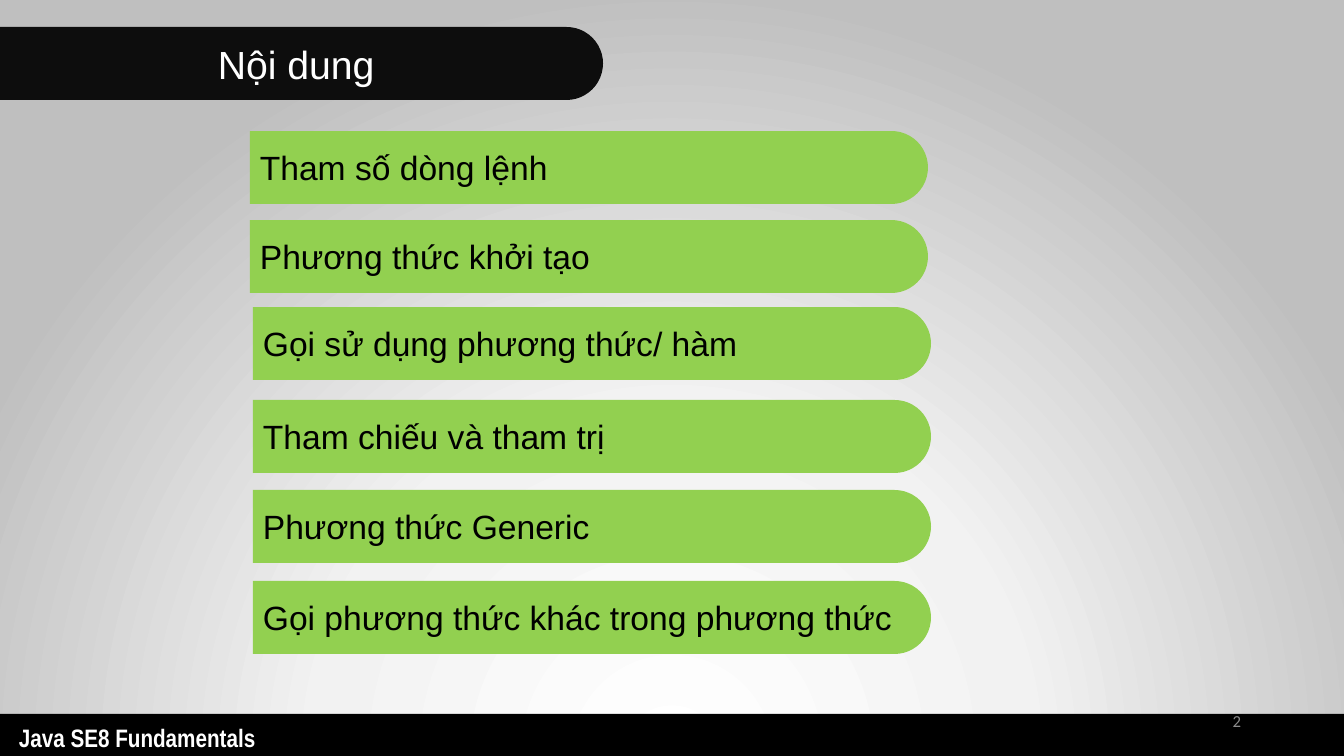
from pptx import Presentation
from pptx.dml.color import RGBColor
from pptx.enum.shapes import MSO_SHAPE as Shape
from pptx.enum.text import MSO_ANCHOR as Anchor, PP_ALIGN as Align
from pptx.oxml import parse_xml
from pptx.oxml.ns import nsdecls, qn
from pptx.util import Pt

PX = 914400 / 100.8
COLORS = {
    "black": "000000",
    "title": "0D0D0D",
    "topic": "92D050",
    "white": "FFFFFF",
    "number": "8C8C8C",
}
GLOW = [(0, "FFFFFF"), (46, "F2F2F2"), (100, "BFBFBF")]
BAR_HEIGHT = 73
TOPIC_WIDTH = 678
TOPICS = [
    (250, 131, "Tham số dòng lệnh"),
    (250, 220, "Phương thức khởi tạo"),
    (253, 307, "Gọi sử dụng phương thức/ hàm"),
    (253, 400, "Tham chiếu và tham trị"),
    (253, 490, "Phương thức Generic"),
    (253, 581, "Gọi phương thức khác trong phương thức"),
]


def px(*lengths):
    return [round(length * PX) for length in lengths]


def rgb(name):
    return RGBColor.from_string(COLORS[name])


def write(frame, words, size, font, color, align=Align.LEFT, bold=False):
    line = frame.paragraphs[0]
    line.alignment = align
    run = line.add_run()
    run.text = words
    run.font.size = Pt(size)
    run.font.name = font
    run.font.bold = bold
    run.font.color.rgb = rgb(color)


def add_block(slide, kind, box, color):
    block = slide.shapes.add_shape(kind, *px(*box))
    block.shadow.inherit = False
    block.fill.solid()
    block.fill.fore_color.rgb = rgb(color)
    block.line.fill.background()
    return block


def add_label(slide, box, anchor, *style, **options):
    label = slide.shapes.add_textbox(*px(*box)).text_frame
    label.word_wrap = True
    label.vertical_anchor = anchor
    write(label, *style, **options)


def add_bar(slide, left, top, width, color, *style, **options):
    """Bar rounded on its right end: an upright tab turned by 90 degrees."""
    shift = (width - BAR_HEIGHT) / 2
    box = (left + shift, top - shift, BAR_HEIGHT, width)
    bar = add_block(slide, Shape.ROUND_2_SAME_RECTANGLE, box, color)
    bar.rotation = 90
    bar.adjustments[0] = 0.5
    bar.adjustments[1] = 0
    frame = bar.text_frame
    frame.word_wrap = True
    frame.vertical_anchor = Anchor.MIDDLE
    # Turn the text back to horizontal
    frame._txBody.find(qn("a:bodyPr")).set("vert", "vert270")
    write(frame, *style, **options)


def set_background(slide):
    slide.background.fill.gradient()
    plain = next(slide.element.iter(qn("a:gradFill")))
    stops = "".join(
        f'<a:gs pos="{percent * 1000}"><a:srgbClr val="{color}"/></a:gs>'
        for percent, color in GLOW
    )
    radial = parse_xml(
        f'<a:gradFill {nsdecls("a")} rotWithShape="1"><a:gsLst>{stops}</a:gsLst>'
        '<a:path path="circle">'
        '<a:fillToRect l="50000" t="130000" r="50000" b="-30000"/>'
        "</a:path></a:gradFill>"
    )
    plain.getparent().replace(plain, radial)


def main():
    deck = Presentation()
    deck.slide_width, deck.slide_height = px(1344, 756)
    slide = deck.slides.add_slide(deck.slide_layouts[6])
    set_background(slide)

    # Footer
    add_block(slide, Shape.RECTANGLE, (0, 714, 1344, 42), "black")
    add_label(slide, (9, 717, 331, 40), Anchor.TOP,
              "Java SE8 Fundamentals", 18, "Arial Narrow", "white", bold=True)

    # Title
    add_bar(slide, 0, 27, 603, "title",
            "Nội dung", 28, "Arial", "white", align=Align.CENTER)

    # Topics
    for left, top, topic in TOPICS:
        add_bar(slide, left, top, TOPIC_WIDTH, "topic",
                topic, 24, "Arial", "black")

    # Slide number
    add_label(slide, (949, 701, 302, 40), Anchor.MIDDLE,
              "2", 12, "Calibri", "number", align=Align.RIGHT)

    deck.save("out.pptx")


if __name__ == "__main__":
    main()
